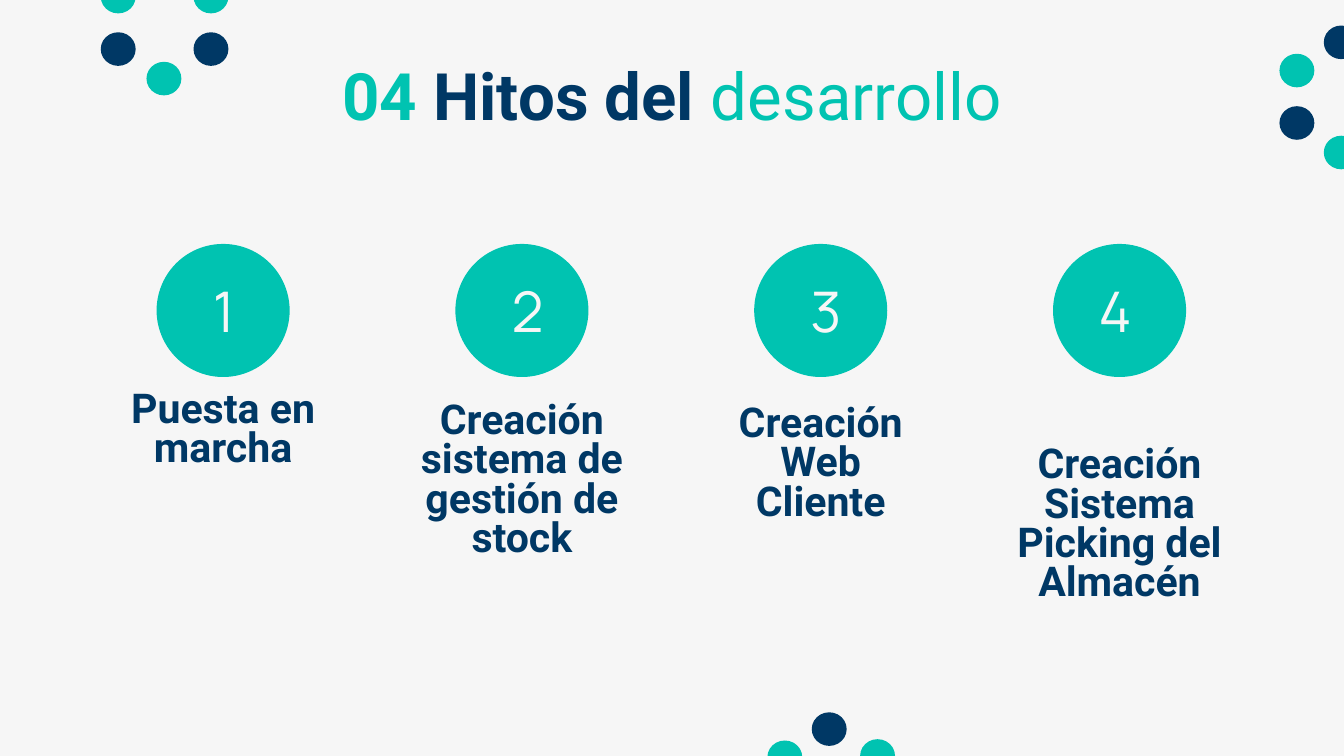
from pptx import Presentation
from pptx.dml.color import RGBColor
from pptx.enum import shapes, text
from pptx.util import Inches, Pt

COLORS = {"paper": "F6F6F6", "navy": "003865", "teal": "00C3B1"}
DOT_SIZE = (0.26, 0.25)
DOTS = {
    "teal": [(1.44, -0.15), (0.75, -0.15), (1.09, 0.46), (6.4, 5.5),
             (5.71, 5.51), (9.85, 1.01), (9.52, 0.4)],
    "navy": [(1.44, 0.24), (0.75, 0.24), (6.04, 5.3), (9.85, 0.19),
             (9.52, 0.79)],
}
MILESTONES = [
    ("1", 0.27, "Puesta en marcha", 3.6, 0.8),
    ("2", 0.27, "Creación sistema de gestión de stock", 4.27, 1.4),
    ("3", 0.27, "Creación Web Cliente", 4.0, 1.1),
    ("4", 0.19, "Creación Sistema Picking del Almacén", 4.6, 1.4),
]
FIRST_CENTER, LAST_CENTER = 1.66, 8.33
MILESTONE_STEP = (LAST_CENTER - FIRST_CENTER) / (len(MILESTONES) - 1)
CIRCLE_TOP, CIRCLE_SIZE = 1.82, 0.98
CAPTION_WIDTH = 1.74


def color(name):
    return RGBColor.from_string(COLORS[name])


def apply_format(target, values):
    for attribute, value in values.items():
        setattr(target, attribute, value)


def add_circle(slide, left, top, width, height, fill):
    circle = slide.shapes.add_shape(
        shapes.MSO_SHAPE.OVAL, *map(Inches, (left, top, width, height)))
    circle.shadow.inherit = False
    circle.fill.solid()
    circle.fill.fore_color.rgb = color(fill)
    circle.line.fill.background()
    return circle


def format_frame(frame, anchor, left_inset=0.1, right_inset=0.1):
    apply_format(frame, {
        "word_wrap": True,
        "auto_size": text.MSO_AUTO_SIZE.NONE,
        "vertical_anchor": anchor,
        "margin_left": Inches(left_inset),
        "margin_right": Inches(right_inset),
        "margin_top": Inches(0.1),
        "margin_bottom": Inches(0.1),
    })


def write_runs(paragraph, parts, size, font="Roboto",
               alignment=text.PP_ALIGN.CENTER, spacing=0.8):
    apply_format(paragraph, {"alignment": alignment, "line_spacing": spacing})
    for words, tint, bold in parts:
        run = paragraph.add_run()
        run.text = words
        apply_format(run.font, {"name": font, "size": Pt(size), "bold": bold})
        run.font.color.rgb = color(tint)


def add_title(slide):
    title = slide.shapes.title
    apply_format(title, {"left": Inches(0.79), "top": Inches(0.42),
                         "width": Inches(8.42), "height": Inches(0.63)})
    format_frame(title.text_frame, text.MSO_ANCHOR.TOP)
    write_runs(title.text_frame.paragraphs[0], [
        ("04", "teal", True),
        (" Hitos del ", "navy", True),
        ("desarrollo", "teal", False),
    ], 35)


def add_number(slide, center, number, inset):
    circle = add_circle(slide, center - CIRCLE_SIZE / 2, CIRCLE_TOP,
                        CIRCLE_SIZE, CIRCLE_SIZE, "teal")
    circle.line.color.rgb = color("teal")
    circle.line.width = Pt(0.75)
    format_frame(circle.text_frame, text.MSO_ANCHOR.MIDDLE, inset, 0)
    write_runs(circle.text_frame.paragraphs[0], [(number, "paper", False)],
               30, "Manrope", text.PP_ALIGN.LEFT, 1.0)


def add_caption(slide, center, words, bottom, height):
    caption = slide.shapes.add_textbox(
        Inches(center - CAPTION_WIDTH / 2), Inches(bottom - height),
        Inches(CAPTION_WIDTH), Inches(height))
    format_frame(caption.text_frame, text.MSO_ANCHOR.BOTTOM)
    write_runs(caption.text_frame.paragraphs[0], [(words, "navy", True)], 22)


def main():
    deck = Presentation()
    deck.slide_width = Inches(10)
    deck.slide_height = Inches(10 * 9 / 16)
    slide = deck.slides.add_slide(deck.slide_layouts.get_by_name("Title Only"))
    slide.background.fill.solid()
    slide.background.fill.fore_color.rgb = color("paper")

    for tint, places in DOTS.items():
        for left, top in places:
            add_circle(slide, left, top, *DOT_SIZE, tint)
    add_title(slide)
    for index, (number, inset, words, bottom, height) in enumerate(MILESTONES):
        center = FIRST_CENTER + index * MILESTONE_STEP
        add_number(slide, center, number, inset)
        add_caption(slide, center, words, bottom, height)

    deck.save("out.pptx")


if __name__ == "__main__":
    main()
